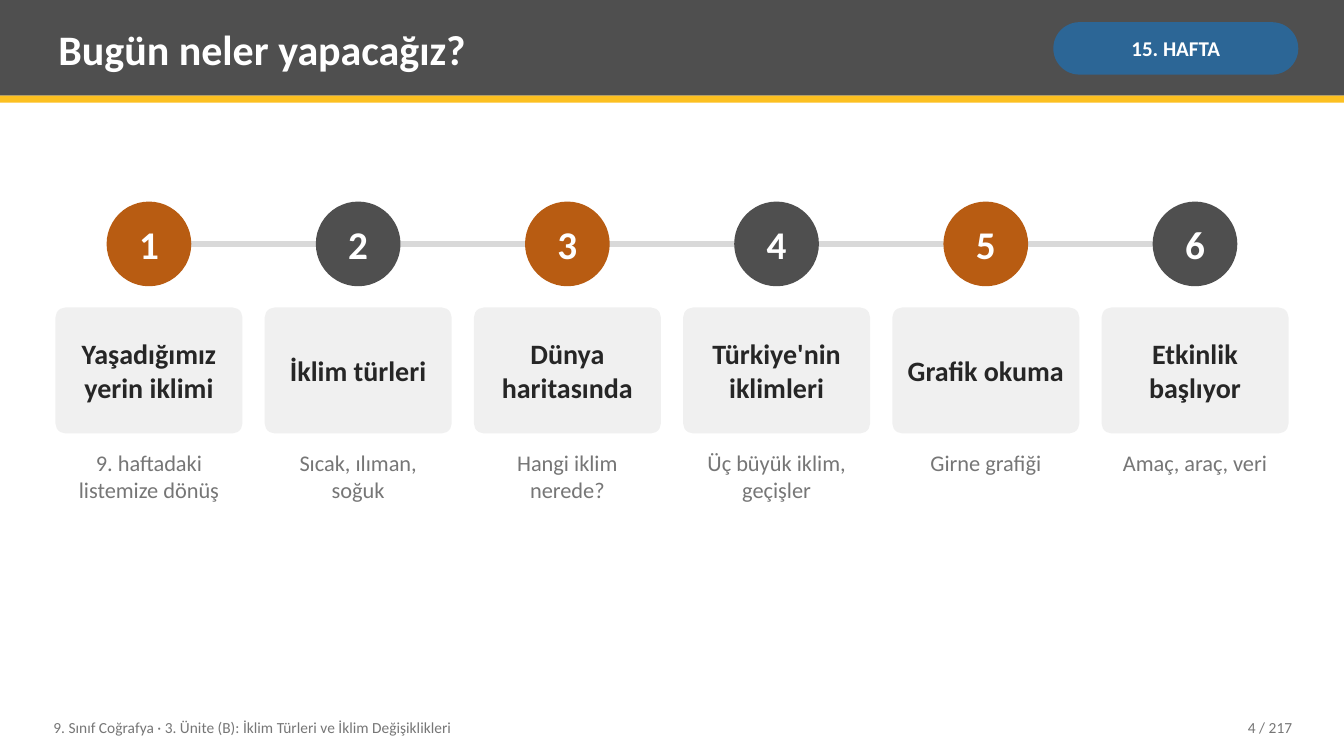
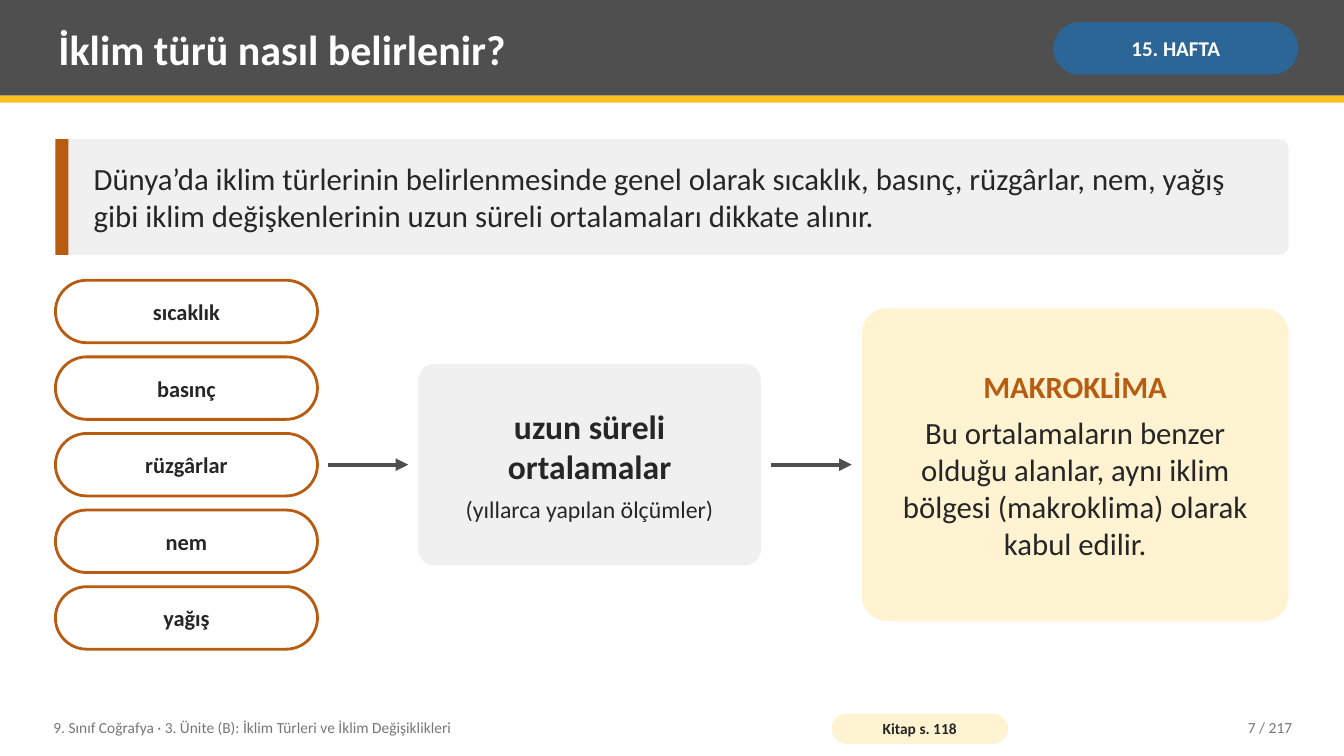
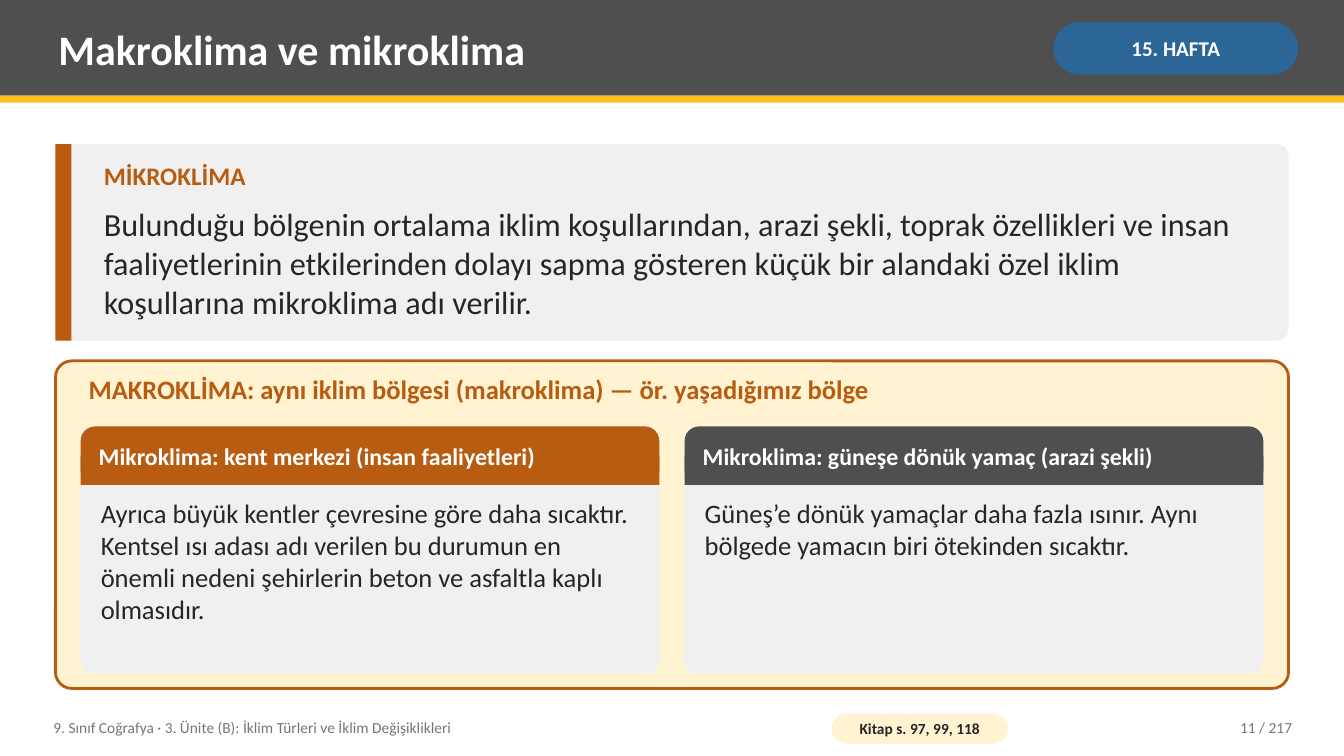
from dataclasses import dataclass
from typing import Any

from lxml.etree import SubElement
from pptx import Presentation
from pptx.dml.color import RGBColor
from pptx.enum.shapes import MSO_CONNECTOR, MSO_SHAPE as Geo
from pptx.enum.text import MSO_ANCHOR as Anchor, PP_ALIGN as Align
from pptx.oxml.ns import qn
from pptx.util import Pt

FONT = "Calibri"
GRAY, ORANGE, YELLOW, BLUE = "4F4F4F", "B85C12", "FCC021", "2C6696"
PALE, CREAM, RULE = "F0F0F0", "FFF3D1", "D9D9D9"
WHITE, INK, MUTED = "FFFFFF", "262626", "767676"
WIDTH, HEIGHT = 960, 540
LEFT = 39.6
SPAN = WIDTH - 2 * LEFT
INSET = (5.76, 2.88)
COURSE = "9. Sınıf Coğrafya · 3. Ünite (B): İklim Türleri ve İklim Değişiklikleri"
WEEK = "15. HAFTA"
PAGES = 217


@dataclass(frozen=True)
class Box:
    x: float
    y: float
    w: float
    h: float

    @property
    def right(self) -> float:
        return self.x + self.w

    @property
    def middle(self) -> float:
        return self.y + self.h / 2

    def emu(self) -> tuple:
        return Pt(self.x), Pt(self.y), Pt(self.w), Pt(self.h)


@dataclass(frozen=True)
class Step:
    title: str
    detail: str


@dataclass(frozen=True)
class Example:
    title: str
    body: str
    color: str


STEPS = [
    Step("Yaşadığımız yerin iklimi", "9. haftadaki listemize dönüş"),
    Step("İklim türleri", "Sıcak, ılıman, soğuk"),
    Step("Dünya haritasında", "Hangi iklim nerede?"),
    Step("Türkiye'nin iklimleri", "Üç büyük iklim, geçişler"),
    Step("Grafik okuma", "Girne grafiği"),
    Step("Etkinlik başlıyor", "Amaç, araç, veri"),
]
FACTORS = ["sıcaklık", "basınç", "rüzgârlar", "nem", "yağış"]
EXAMPLES = [
    Example(
        "Mikroklima: kent merkezi (insan faaliyetleri)",
        "Ayrıca büyük kentler çevresine göre daha sıcaktır. Kentsel ısı adası adı verilen "
        "bu durumun en önemli nedeni şehirlerin beton ve asfaltla kaplı olmasıdır.",
        ORANGE,
    ),
    Example(
        "Mikroklima: güneşe dönük yamaç (arazi şekli)",
        "Güneş’e dönük yamaçlar daha fazla ısınır. Aynı bölgede yamacın biri ötekinden sıcaktır.",
        GRAY,
    ),
]


def rgb(color: str) -> RGBColor:
    return RGBColor.from_string(color)


def write(tf: Any, text: str, *, size: float, color: str = INK, bold: bool = False,
          align: Any = Align.LEFT, after: float = 0) -> None:
    p = tf.paragraphs[0] if not tf.text else tf.add_paragraph()
    p.alignment = align
    p.space_after = Pt(after)
    r = p.add_run()
    r.text = text
    r.font.name = FONT
    r.font.size = Pt(size)
    r.font.bold = bold
    r.font.color.rgb = rgb(color)


def frame(sp: Any, inset: tuple = INSET, anchor: Any = Anchor.MIDDLE, wrap: bool = True) -> Any:
    tf = sp.text_frame
    tf.word_wrap = wrap
    tf.vertical_anchor = anchor
    tf.margin_left = tf.margin_right = Pt(inset[0])
    tf.margin_top = tf.margin_bottom = Pt(inset[1])
    return tf


def label(s: Any, box: Box, text: str, *, anchor: Any = Anchor.MIDDLE, **style: Any) -> None:
    write(frame(s.shapes.add_textbox(*box.emu()), anchor=anchor), text, **style)


def shape(s: Any, box: Box, fill: str, *, geo: Any = Geo.RECTANGLE,
          radius: float = 0, outline: str = "") -> Any:
    sp = s.shapes.add_shape(Geo.ROUNDED_RECTANGLE if radius else geo, *box.emu())
    sp.shadow.inherit = False
    if radius:
        sp.adjustments[0] = radius
    sp.fill.solid()
    sp.fill.fore_color.rgb = rgb(fill)
    if outline:
        sp.line.color.rgb = rgb(outline)
        sp.line.width = Pt(2)
    else:
        sp.line.fill.background()
    return sp


def pill(s: Any, box: Box, text: str, *, fill: str, inset: tuple, outline: str = "",
         **style: Any) -> None:
    sp = shape(s, box, fill, radius=0.5, outline=outline)
    write(frame(sp, inset), text, bold=True, align=Align.CENTER, **style)


def rule(s: Any, x1: float, x2: float, y: float, color: str, weight: float,
         arrow: bool = False) -> None:
    line = s.shapes.add_connector(MSO_CONNECTOR.STRAIGHT, Pt(x1), Pt(y), Pt(x2), Pt(y))
    line.line.color.rgb = rgb(color)
    line.line.width = Pt(weight)
    if arrow:
        SubElement(line.line._get_or_add_ln(), qn("a:tailEnd"), type="triangle")
    SubElement(line._element.spPr, qn("a:effectLst"))


def barred_panel(s: Any, box: Box, bar: float, radius: float) -> None:
    shape(s, box, PALE, radius=radius)
    shape(s, Box(box.x, box.y, bar, box.h), ORANGE)


def new_slide(prs: Any, title: str, page: int, book: str = "") -> Any:
    s = prs.slides.add_slide(prs.slide_layouts[6])
    shape(s, Box(0, 0, WIDTH, 68.4), GRAY)
    shape(s, Box(0, 68.4, WIDTH, 5.04), YELLOW)
    label(s, Box(36, 5.04, 702, 59.04), title, size=30, color=WHITE, bold=True)
    pill(s, Box(752.4, 15.84, 175, 37.44), WEEK, fill=BLUE, inset=(3.6, 1.44),
         size=15, color=WHITE)
    label(s, Box(32.4, 506.88, 547.2, 25.92), COURSE, size=11, color=MUTED)
    if book:
        pill(s, Box(594, 509.76, 126, 21.6), book, fill=CREAM, inset=(2.88, 0), size=11)
    label(s, Box(813.6, 506.88, 115.2, 25.92), f"{page} / {PAGES}",
          size=11, color=MUTED, align=Align.RIGHT)
    return s


def agenda(prs: Any) -> None:
    s = new_slide(prs, "Bugün neler yapacağız?", 4)
    gap, dot, axis = 15.84, 60.48, 174.24
    w = (SPAN - gap * (len(STEPS) - 1)) / len(STEPS)
    rule(s, LEFT + w / 2, LEFT + SPAN - w / 2, axis, RULE, 4)
    for i, step in enumerate(STEPS):
        x = LEFT + i * (w + gap)
        circle = shape(s, Box(x + (w - dot) / 2, axis - dot / 2, dot, dot),
                       GRAY if i % 2 else ORANGE, geo=Geo.OVAL)
        write(frame(circle, (0, 0), wrap=False), str(i + 1),
              size=28, color=WHITE, bold=True, align=Align.CENTER)
        card = shape(s, Box(x, 219.6, w, 90), PALE, radius=0.08)
        write(frame(card, (5.76, 5.76)), step.title, size=20, bold=True, align=Align.CENTER)
        label(s, Box(x, 318.24, w, 136.8), step.detail, anchor=Anchor.TOP,
              size=16, color=MUTED, align=Align.CENTER)


def climate_type(prs: Any) -> None:
    s = new_slide(prs, "İklim türü nasıl belirlenir?", 7, "Kitap s. 118")
    intro = Box(LEFT, 99.36, SPAN, 82.8)
    barred_panel(s, intro, 9.36, 0.08)
    label(s, Box(61.2, intro.y, 848.4, intro.h),
          "Dünya’da iklim türlerinin belirlenmesinde genel olarak sıcaklık, basınç, rüzgârlar, "
          "nem, yağış gibi iklim değişkenlerinin uzun süreli ortalamaları dikkate alınır.", size=22)

    pill_h, pill_gap, gap, clearance = 44.64, 10.08, 72, 7.2
    stack = Box(LEFT, 200.16, 187.2, len(FACTORS) * (pill_h + pill_gap) - pill_gap)
    for i, factor in enumerate(FACTORS):
        pill(s, Box(stack.x, stack.y + i * (pill_h + pill_gap), stack.w, pill_h), factor,
             fill=WHITE, inset=(10.08, 5.76), outline=ORANGE, size=16)

    axis = stack.middle
    averages = Box(stack.right + gap, axis - 72, 244.8, 144)
    x = averages.right + gap
    result = Box(x, axis - 111.6, LEFT + SPAN - x, 223.2)
    for source in (stack, averages):
        rule(s, source.right + clearance, source.right + gap - clearance, axis, GRAY, 3, arrow=True)

    tf = frame(shape(s, averages, PALE, radius=0.08), (10.08, 5.76))
    write(tf, "uzun süreli ortalamalar", size=24, bold=True, align=Align.CENTER, after=6)
    write(tf, "(yıllarca yapılan ölçümler)", size=17, align=Align.CENTER)
    tf = frame(shape(s, result, CREAM, radius=0.08), (14.4, 5.76))
    write(tf, "MAKROKLİMA", size=22, color=ORANGE, bold=True, align=Align.CENTER, after=6)
    write(tf, "Bu ortalamaların benzer olduğu alanlar, aynı iklim bölgesi (makroklima) "
              "olarak kabul edilir.", size=22, align=Align.CENTER)


def example_card(s: Any, box: Box, example: Example) -> None:
    head = 41.76
    shape(s, box, PALE, radius=0.05)
    shape(s, Box(box.x, box.y, box.w, head), example.color, radius=0.25)
    shape(s, Box(box.x, box.y + head / 2, box.w, head / 2), example.color)
    label(s, Box(box.x + 7.2, box.y, box.w - 14.4, head), example.title,
          size=17, color=WHITE, bold=True)
    label(s, Box(box.x + 8.64, box.y + head + 5.76, box.w - 17.28, 123.12), example.body,
          anchor=Anchor.TOP, size=19)


def macro_micro(prs: Any) -> None:
    s = new_slide(prs, "Makroklima ve mikroklima", 11, "Kitap s. 97, 99, 118")
    barred_panel(s, Box(LEFT, 102.96, SPAN, 140.4), 11.52, 0.06)
    label(s, Box(68.4, 111.6, 837.6, 32.4), "MİKROKLİMA", anchor=Anchor.TOP,
          size=18, color=ORANGE, bold=True)
    label(s, Box(68.4, 142.56, 837.6, 90),
          "Bulunduğu bölgenin ortalama iklim koşullarından, arazi şekli, toprak özellikleri ve "
          "insan faaliyetlerinin etkilerinden dolayı sapma gösteren küçük bir alandaki özel iklim "
          "koşullarına mikroklima adı verilir.", size=23)

    shape(s, Box(LEFT, 257.76, SPAN, 234), CREAM, radius=0.05, outline=ORANGE)
    pad = gap = 18
    inner = Box(LEFT + pad, 263.52, SPAN - 2 * pad, 36)
    label(s, inner, "MAKROKLİMA: aynı iklim bölgesi (makroklima) — ör. yaşadığımız bölge",
          anchor=Anchor.TOP, size=19, color=ORANGE, bold=True)
    w = (inner.w - gap) / 2
    for i, example in enumerate(EXAMPLES):
        example_card(s, Box(inner.x + i * (w + gap), 304.56, w, 176.4), example)


def main() -> None:
    prs = Presentation()
    prs.slide_width, prs.slide_height = Pt(WIDTH), Pt(HEIGHT)
    agenda(prs)
    climate_type(prs)
    macro_micro(prs)
    prs.save("out.pptx")


if __name__ == "__main__":
    main()
